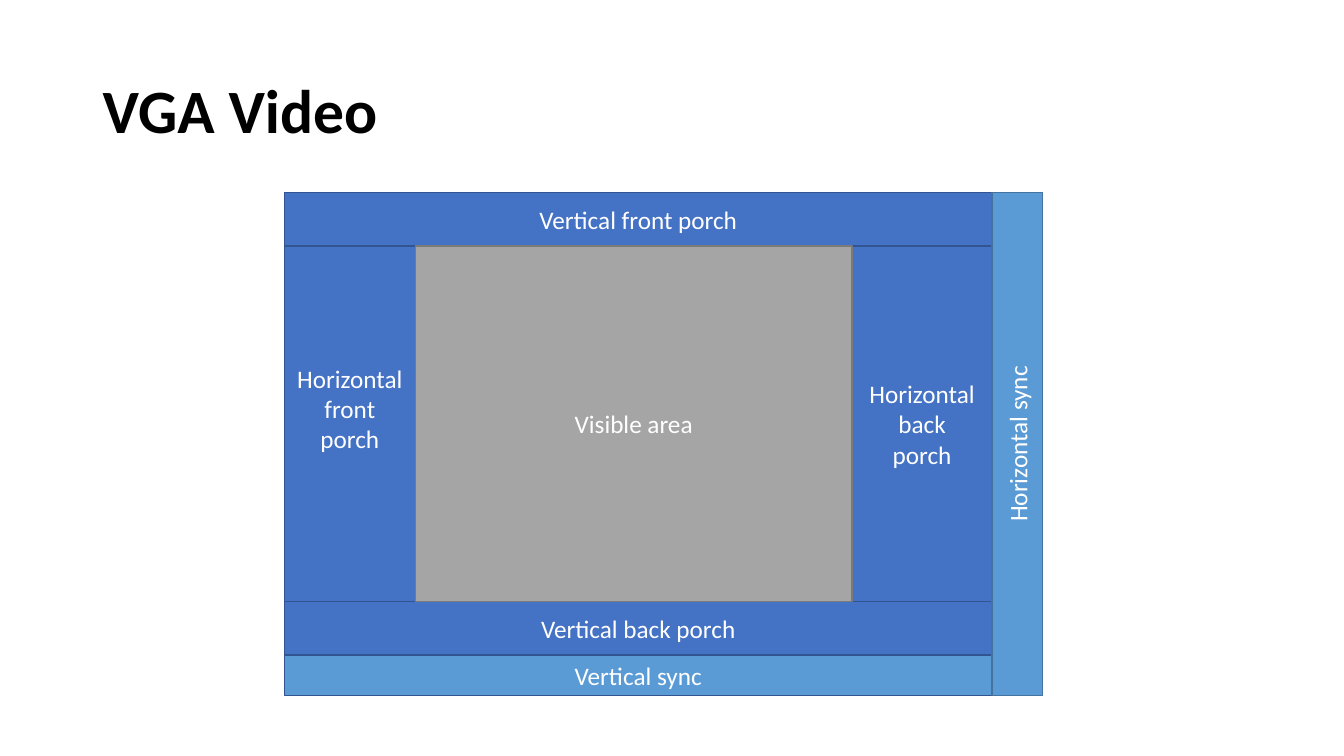
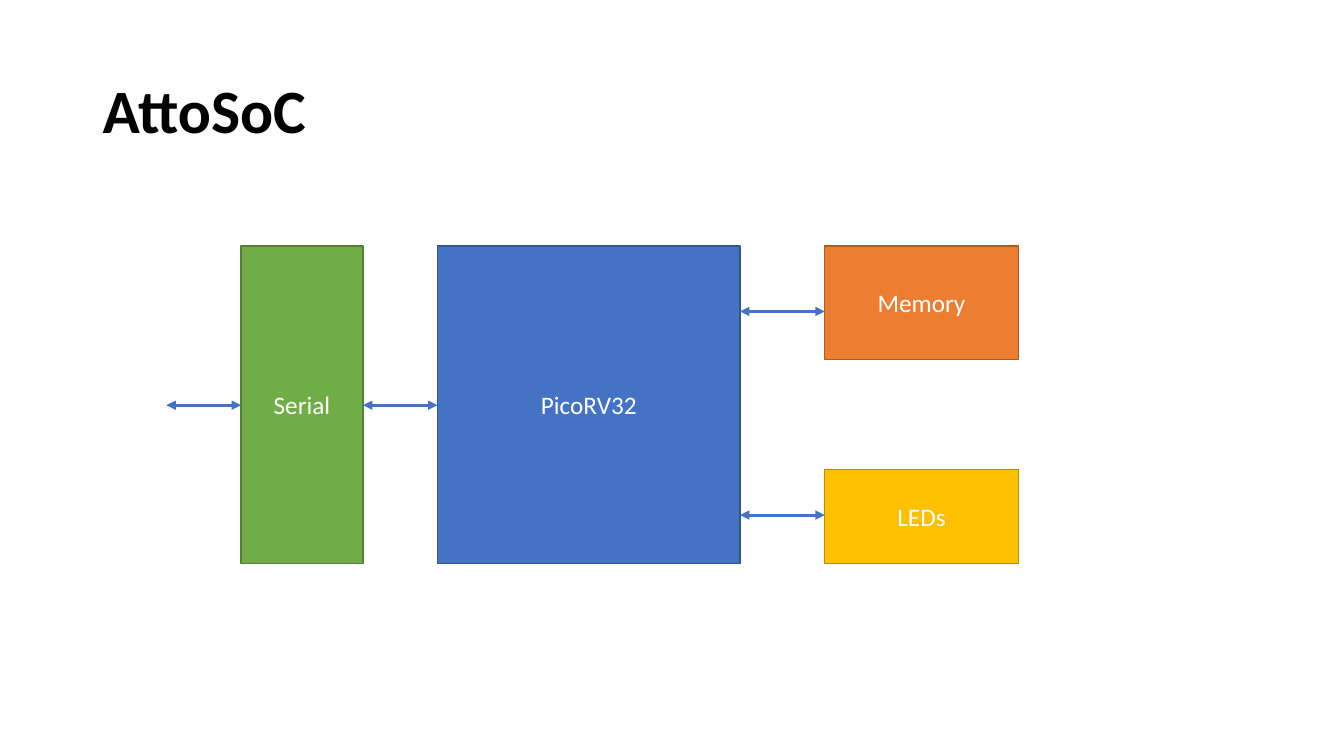
from lxml import etree
from pptx import Presentation
from pptx.dml.color import RGBColor
from pptx.enum.shapes import MSO_CONNECTOR, MSO_SHAPE
from pptx.enum.text import MSO_ANCHOR, PP_ALIGN
from pptx.oxml.ns import qn
from pptx.util import Pt

SCALE = 9144
RECTANGLE = MSO_SHAPE.RECTANGLE
STRAIGHT = MSO_CONNECTOR.STRAIGHT
MIDDLE = MSO_ANCHOR.MIDDLE
LEFT, CENTER = PP_ALIGN.LEFT, PP_ALIGN.CENTER
FONT = "Calibri"
COLORS = {
    "black": "000000", "white": "FFFFFF",
    "blue": "4472C4", "blue_edge": "325491",
    "sky": "5B9BD5", "sky_edge": "43739E",
    "gray": "A5A5A5", "gray_edge": "7A7A7A",
    "orange": "ED7D31", "orange_edge": "AF5C24",
    "gold": "FFC000", "gold_edge": "BD8E00",
    "green": "70AD47", "green_edge": "538035",
}


def color(name):
    return RGBColor.from_string(COLORS[name])


class Deck:
    """Holds the shared style and the current page, and draws its elements."""

    def __init__(self, width, height):
        self.deck = Presentation()
        self.deck.slide_width = width * SCALE
        self.deck.slide_height = height * SCALE
        self.page = None

    def add_page(self, title):
        self.page = self.deck.slides.add_slide(self.deck.slide_layouts[6])
        box = self.page.shapes.add_textbox(*[n * SCALE for n in (92, 40, 1150, 145)])
        self.set_text(box, title, 44, "black", LEFT, bold=True, spacing=0.9)

    def set_text(self, box, text, size, ink, align, bold=False, spacing=1.0):
        frame = box.text_frame
        frame.word_wrap = True
        frame.vertical_anchor = MIDDLE
        frame.text = text
        for para in frame.paragraphs:
            para.alignment = align
            para.line_spacing = spacing
            para.font.name = FONT
            para.font.size = Pt(size)
            para.font.bold = bold
            para.font.color.rgb = color(ink)

    def block(self, text, edges, fill, edge=None, upright=False, lift=0):
        left, top, right, bottom = edges
        area = (left, top, right - left, bottom - top)
        box = self.page.shapes.add_shape(RECTANGLE, *[n * SCALE for n in area])
        box.shadow.inherit = False
        box.fill.solid()
        box.fill.fore_color.rgb = color(fill)
        box.line.color.rgb = color(edge or fill + "_edge")
        box.line.width = Pt(1)
        self.set_text(box, text, 18, "white", CENTER)
        box.text_frame.margin_bottom += lift * SCALE
        if upright:
            box.text_frame._txBody.bodyPr.set("vert", "vert270")

    def arrow(self, start, end, y):
        ends = [n * SCALE for n in (start, y, end, y)]
        line = self.page.shapes.add_connector(STRAIGHT, *ends)
        line.line.color.rgb = color("blue")
        line.line.width = Pt(2.25)
        properties = line._element.spPr
        outline = properties.find(qn("a:ln"))
        for tag in ("a:headEnd", "a:tailEnd"):
            etree.SubElement(outline, qn(tag), type="triangle")
        etree.SubElement(properties, qn("a:effectLst"))

    def save(self):
        self.deck.save("out.pptx")


def draw_video(deck):
    deck.add_page("VGA Video")
    left, visible_left, visible_right, sync_left, right = 282, 412, 845, 984, 1034
    top, visible_top, visible_bottom, sync_top, bottom = 191, 244, 597, 650, 690
    for text, upper, lower, fill in (
        ("Vertical front porch", top, visible_top, "blue"),
        ("Vertical back porch", visible_bottom, sync_top, "blue"),
        ("Vertical sync", sync_top, bottom, "sky"),
    ):
        deck.block(text, (left, upper, sync_left, lower), fill, "blue_edge")
    deck.block("Horizontal front\nporch",
               (left, visible_top, visible_left, visible_bottom), "blue", lift=30)
    deck.block("Horizontal\nback\nporch",
               (visible_right, visible_top, sync_left, visible_bottom), "blue")
    deck.block("Horizontal sync", (sync_left, top, right, bottom), "sky", upright=True)
    deck.block("Visible area",
               (visible_left, visible_top, visible_right, visible_bottom), "gray")


def draw_chip(deck):
    deck.add_page("AttoSoC")
    top, bottom = 244, 559
    serial_left, serial_right = 239, 360
    core_left, core_right = 434, 734
    device_left, device_right = 818, 1010
    deck.block("PicoRV32", (core_left, top, core_right, bottom), "blue")
    deck.block("Memory", (device_left, top, device_right, 357), "orange")
    deck.block("LEDs", (device_left, 466, device_right, bottom), "gold")
    deck.block("Serial", (serial_left, top, serial_right, bottom), "green")
    middle = (top + bottom + 1) // 2
    gap = core_left - serial_right
    for y in (309, 511):
        deck.arrow(core_right, device_left, y)
    for end in (core_left, serial_left):
        deck.arrow(end - gap, end, middle)


def main():
    deck = Deck(1333, 750)
    draw_video(deck)
    draw_chip(deck)
    deck.save()


if __name__ == "__main__":
    main()
